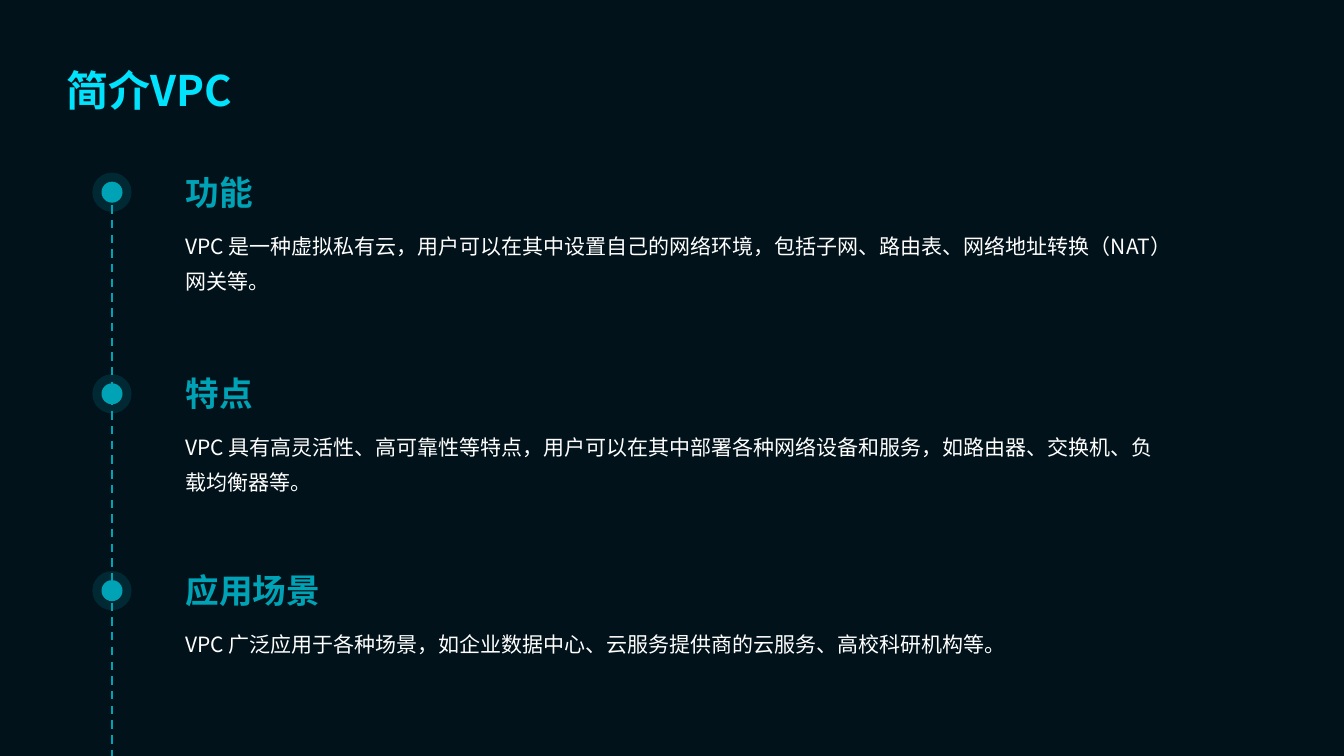
import lxml.etree
import pptx
import pptx.dml.color
import pptx.enum.dml
import pptx.enum.shapes
import pptx.enum.text
import pptx.oxml.ns
import pptx.util

Pt = pptx.util.Pt
qn = pptx.oxml.ns.qn
ANCHOR = pptx.enum.text.MSO_ANCHOR

FONT = "Noto Sans CJK SC"
NIGHT, CYAN, TEAL, WHITE = "01121A", "01E2FD", "00A3B6", "FFFFFF"
TITLE = {"size": Pt(30), "bold": True}
HEADING = {"size": Pt(24), "bold": True}
BODY = {"size": Pt(15), "bold": False}

AXIS_X = 80
TEXT_LEFT, TEXT_WIDTH = 132.5, 706
TOPICS = [
    (107.3, "功能", "VPC 是一种虚拟私有云，用户可以在其中设置自己的网络环境，"
     "包括子网、路由表、网络地址转换（NAT）网关等。"),
    (251.3, "特点", "VPC 具有高灵活性、高可靠性等特点，用户可以在其中部署各种网络设备和服务，"
     "如路由器、交换机、负载均衡器等。"),
    (391.9, "应用场景", "VPC 广泛应用于各种场景，如企业数据中心、云服务提供商的云服务、高校科研机构等。"),
]


def paint(color_format, hex_color):
    color_format.rgb = pptx.dml.color.RGBColor.from_string(hex_color)


def write(frame, text, font_format, color, spacing, anchor, insets=(0, 0, 0, 0)):
    """Fill a text frame with one left-aligned paragraph; insets are left, top, right, bottom."""
    left, top, right, bottom = map(Pt, insets)
    frame_format = {
        "word_wrap": True, "auto_size": pptx.enum.text.MSO_AUTO_SIZE.NONE,
        "vertical_anchor": anchor, "margin_left": left, "margin_top": top,
        "margin_right": right, "margin_bottom": bottom,
    }
    for name, value in frame_format.items():
        setattr(frame, name, value)
    paragraph = frame.paragraphs[0]
    paragraph.alignment = pptx.enum.text.PP_ALIGN.LEFT
    paragraph.line_spacing = spacing
    paragraph.space_before = Pt(0)
    run = paragraph.add_run()
    run.text = text
    for name, value in {**font_format, "name": FONT}.items():
        setattr(run.font, name, value)
    paint(run.font.color, color)
    latin = run.font._element.find(qn("a:latin"))
    east_asian = lxml.etree.Element(qn("a:ea"), typeface=FONT)
    latin.addnext(east_asian)


def add_title(slide, left, top, width, height):
    title = slide.shapes.title
    box = {"left": left, "top": top, "width": width, "height": height}
    for name, value in box.items():
        setattr(title, name, Pt(value))
    write(title.text_frame, "简介VPC", TITLE, CYAN, 1.4, ANCHOR.MIDDLE, (10, 10, 4.3, 10))


def add_marker(slide, center_x, center_y):
    """Draw a solid dot with a translucent halo, grouped."""
    marker = slide.shapes.add_group_shape()
    for diameter, opacity in ((15, 100), (28, 16)):
        disc = marker.shapes.add_shape(
            pptx.enum.shapes.MSO_SHAPE.OVAL,
            Pt(center_x - diameter / 2), Pt(center_y - diameter / 2), Pt(diameter), Pt(diameter))
        disc.shadow.inherit = False
        disc.line.fill.background()
        disc.fill.solid()
        paint(disc.fill.fore_color, TEAL)
        if opacity < 100:
            color = disc._element.spPr.find(qn("a:solidFill"))[0]
            lxml.etree.SubElement(color, qn("a:alpha"), val=str(opacity * 1000))


def add_topic(slide, left, top, width, heading, description):
    parts = (
        (0, 44, heading, HEADING, TEAL, 1.2, ANCHOR.BOTTOM),
        (52, 60.5, description, BODY, WHITE, 1.4, ANCHOR.TOP),
    )
    for offset, height, *content in parts:
        box = slide.shapes.add_textbox(Pt(left), Pt(top + offset), Pt(width), Pt(height))
        write(box.text_frame, *content)
    add_marker(slide, AXIS_X, top + 30)


def add_timeline(slide, x, top, bottom):
    timeline = slide.shapes.add_connector(
        pptx.enum.shapes.MSO_CONNECTOR.STRAIGHT, Pt(x), Pt(top), Pt(x), Pt(bottom))
    paint(timeline.line.color, TEAL)
    timeline.line.width = Pt(1.5)
    timeline.line.dash_style = pptx.enum.dml.MSO_LINE.DASH
    properties = timeline._element.spPr
    lxml.etree.SubElement(properties.find(qn("a:ln")), qn("a:tailEnd"), type="triangle")
    lxml.etree.SubElement(properties, qn("a:effectLst"))


def main():
    deck = pptx.Presentation()
    deck.slide_width, deck.slide_height = Pt(960), Pt(540)
    slide = deck.slides.add_slide(deck.slide_layouts[5])
    slide.background.fill.solid()
    paint(slide.background.fill.fore_color, NIGHT)
    add_title(slide, 37.5, 21, 885, 72)
    for top, heading, description in TOPICS:
        add_topic(slide, TEXT_LEFT, top, TEXT_WIDTH, heading, description)
    add_timeline(slide, AXIS_X, 136, 546.5)
    deck.save("out.pptx")


if __name__ == "__main__":
    main()
